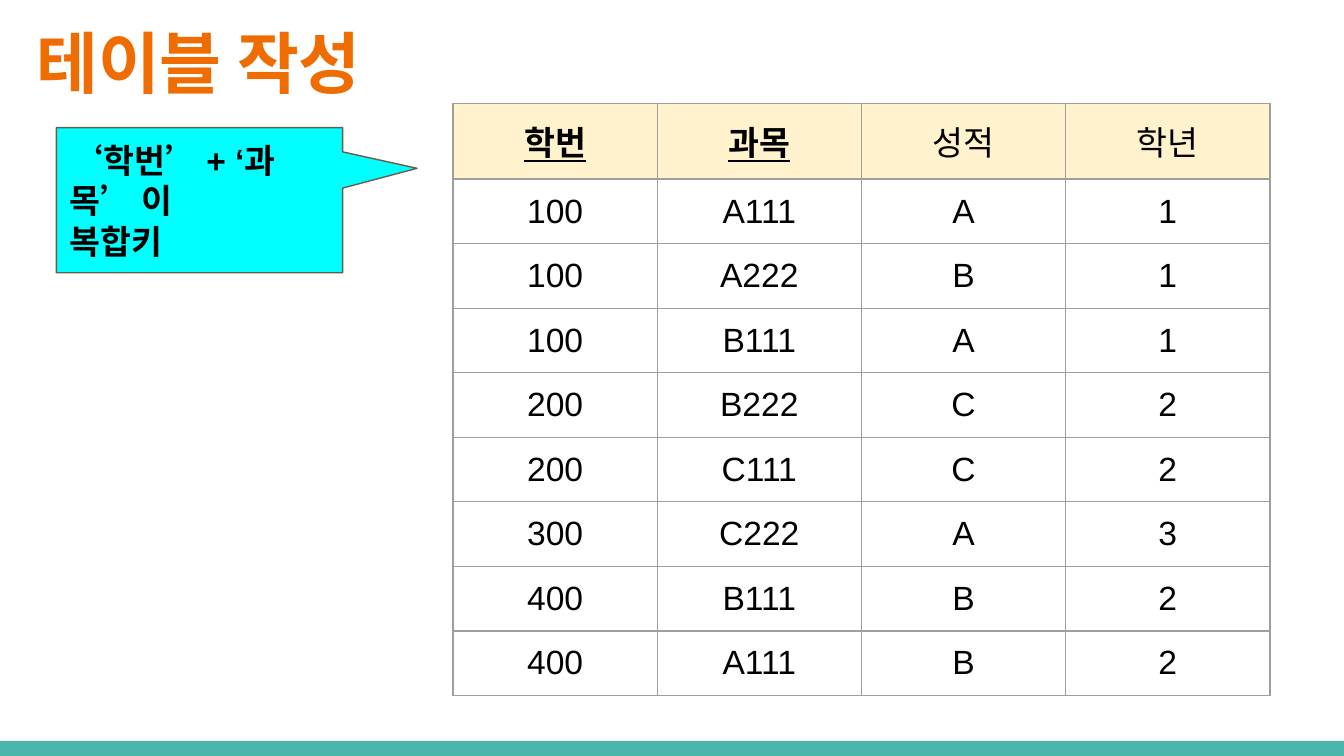
from pptx import Presentation
from pptx.dml.color import RGBColor
from pptx.enum.shapes import MSO_SHAPE
from pptx.enum.text import MSO_ANCHOR, PP_ALIGN
from pptx.oxml import parse_xml
from pptx.oxml.ns import nsdecls
from pptx.util import Inches, Pt

THEME = {
    "title": "EF6C00", "text": "000000", "bar": "4DB6AC",
    "header": "FFF2CC", "grid": "9E9E9E", "callout": "00FFFF", "outline": "695D46",
    "title_size": 36, "body_size": 18,
    "title_font": "Roboto Condensed", "body_font": "Arial",
}
INSET = Inches(0.1)


def color(name):
    return RGBColor.from_string(THEME[name])


def format_text(tf, kind="body", ink="text", bold=False, underline=False, align=None):
    tf.margin_left = tf.margin_right = tf.margin_top = tf.margin_bottom = INSET
    tf.vertical_anchor = MSO_ANCHOR.MIDDLE
    for p in tf.paragraphs:
        p.alignment = align
        for r in p.runs:
            font = r.font
            font.name, font.size = THEME[kind + "_font"], Pt(THEME[kind + "_size"])
            font.bold, font.underline = bold, underline
            font.color.rgb = color(ink)


# Widescreen 16:9 page
prs = Presentation()
prs.slide_width = Inches(10)
prs.slide_height = prs.slide_width * 9 // 16
W, H = prs.slide_width, prs.slide_height
s = prs.slides.add_slide(prs.slide_layouts[5])

# Bottom bar
bar_height = int(H * 0.02)
bar = s.shapes.add_shape(MSO_SHAPE.RECTANGLE, 0, H - bar_height, W, bar_height)
bar.shadow.inherit = False
bar.fill.solid()
bar.fill.fore_color.rgb = color("bar")
bar.line.fill.background()

# Title
title = s.shapes.title
title.left, title.top = int(W * 0.017), Inches(0.07)
title.width, title.height = int(W * 0.288), Inches(0.77)
title.text_frame.text = "테이블 작성"
format_text(title.text_frame, "title", "title", bold=True, align=PP_ALIGN.LEFT)

# Grade table
rows = [
    ("학번", "과목", "성적", "학년"),
    ("100", "A111", "A", "1"),
    ("100", "A222", "B", "1"),
    ("100", "B111", "A", "1"),
    ("200", "B222", "C", "2"),
    ("200", "C111", "C", "2"),
    ("300", "C222", "A", "3"),
    ("400", "B111", "B", "2"),
    ("400", "A111", "B", "2"),
]
KEY_COLUMNS = 2
col_width, header_height, row_height = Inches(1.52), Inches(0.56), Inches(0.42)
table = s.shapes.add_table(
    len(rows), len(rows[0]), int(W * 0.337), Inches(0.77),
    col_width * len(rows[0]), header_height + row_height * (len(rows) - 1)).table
table.horz_banding = False
for column in table.columns:
    column.width = col_width
for i, row in enumerate(rows):
    table.rows[i].height = row_height if i else header_height
    for j, value in enumerate(row):
        cell = table.cell(i, j)
        cell.text_frame.text = value
        is_key = i == 0 and j < KEY_COLUMNS
        format_text(cell.text_frame, bold=is_key, underline=is_key, align=PP_ALIGN.CENTER)
        cell.margin_left = cell.margin_right = cell.margin_top = cell.margin_bottom = INSET
        cell.vertical_anchor = MSO_ANCHOR.MIDDLE
        # Borders come before the fill in the cell properties
        tc_pr = cell._tc.get_or_add_tcPr()
        for side in ("lnL", "lnR", "lnT", "lnB"):
            tc_pr.append(parse_xml(
                f'<a:{side} {nsdecls("a")} w="{Pt(0.75)}"><a:solidFill>'
                f'<a:srgbClr val="{THEME["grid"]}"/></a:solidFill></a:{side}>'))
        if i == 0:
            cell.fill.solid()
            cell.fill.fore_color.rgb = color("header")
        else:
            cell.fill.background()

# Callout on the composite key
callout = s.shapes.add_shape(MSO_SHAPE.RECTANGULAR_CALLOUT, int(W * 0.042), Inches(0.95),
                             int(W * 0.213), Inches(1.08))
callout.adjustments[0], callout.adjustments[1] = 0.76, -0.22
callout.shadow.inherit = False
callout.fill.solid()
callout.fill.fore_color.rgb = color("callout")
callout.line.color.rgb = color("outline")
callout.line.width = Pt(0.75)
tf = callout.text_frame
tf.text = "‘학번’ + ‘과목’ 이\n복합키"
tf.word_wrap = True
format_text(tf, bold=True, align=PP_ALIGN.LEFT)
tf.margin_right = Inches(0.25)

prs.save("out.pptx")
